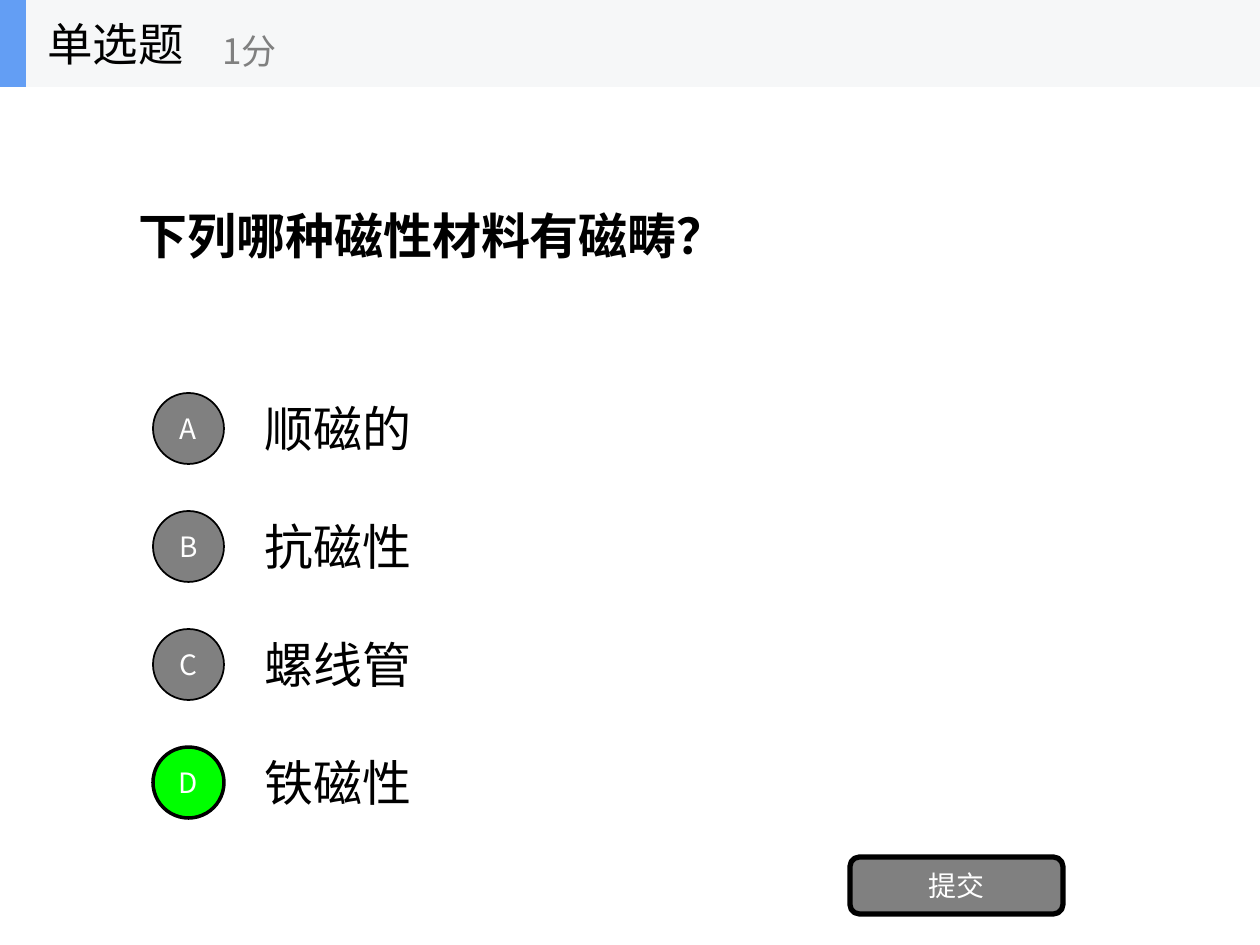
from lxml import etree
from pptx import Presentation
from pptx.dml.color import RGBColor
from pptx.enum.shapes import MSO_SHAPE
from pptx.enum.text import MSO_ANCHOR, MSO_AUTO_SIZE, PP_ALIGN
from pptx.oxml.ns import qn
from pptx.util import Emu, Pt

RECTANGLE = MSO_SHAPE.RECTANGLE
ROUNDED = MSO_SHAPE.ROUNDED_RECTANGLE
OVAL = MSO_SHAPE.OVAL
LEFT, CENTER = PP_ALIGN.LEFT, PP_ALIGN.CENTER
MIDDLE = MSO_ANCHOR.MIDDLE
NO_AUTOFIT = MSO_AUTO_SIZE.NONE

PX_PER_INCH = 126
TITLE_ONLY = 5
LATIN_FONT, CHINESE_FONT = "Calibri", "Noto Sans CJK SC"
COLORS = {
    "black": "000000",
    "white": "FFFFFF",
    "gray": "808080",
    "green": "00FF00",
    "header": "F6F7F8",
    "accent": "639EF4",
}
OPTIONS = [("A", "顺磁的"), ("B", "抗磁性"), ("C", "螺线管"), ("D", "铁磁性")]
CORRECT = "D"
OPTION_TOP, OPTION_STEP = 384, 118


def px(value):
    return Emu(round(value * 914400 / PX_PER_INCH))


def color(name):
    return RGBColor.from_string(COLORS[name])


class QuizSlide:
    def __init__(self, presentation):
        self.slide = presentation.slides.add_slide(presentation.slide_layouts[TITLE_ONLY])
        self.shapes = self.slide.shapes

    def set_text(self, shape, text, size, font_name=CHINESE_FONT, font_color="black",
                 bold=False, align=LEFT):
        frame = shape.text_frame
        frame.word_wrap = True
        frame.auto_size = NO_AUTOFIT
        frame.vertical_anchor = MIDDLE
        paragraph = frame.paragraphs[0]
        paragraph.alignment = align
        run = paragraph.add_run()
        run.text = text
        run.font.name = font_name
        run.font.size = Pt(size)
        run.font.bold = bold
        run.font.color.rgb = color(font_color)
        east_asian = etree.Element(qn("a:ea"), typeface=CHINESE_FONT)
        run.font._element.find(qn("a:latin")).addnext(east_asian)

    def title(self, box, text, size):
        title = self.slide.shapes.title
        title.left, title.top, title.width, title.height = map(px, box)
        self.set_text(title, text, size, LATIN_FONT, bold=True)

    def text(self, box, text, size, **style):
        self.set_text(self.shapes.add_textbox(*map(px, box)), text, size, **style)

    def shape(self, kind, box, fill, line_width=0):
        shape = self.shapes.add_shape(kind, *map(px, box))
        shape.shadow.inherit = False
        shape.fill.solid()
        shape.fill.fore_color.rgb = color(fill)
        if line_width:
            shape.line.color.rgb = color("black")
            shape.line.width = Pt(line_width)
        else:
            shape.line.fill.background()
        return shape

    def button(self, kind, box, label, fill, line_width):
        shape = self.shape(kind, box, fill, line_width)
        frame = shape.text_frame
        frame.margin_left = frame.margin_right = 0
        frame.margin_top = frame.margin_bottom = 0
        self.set_text(shape, label, 16, font_color="white", align=CENTER)

    def header(self, kind, points):
        """Draw the grouped band with the question type and its points."""
        self.shapes = self.slide.shapes.add_group_shape().shapes
        self.shape(RECTANGLE, (0, 0, 1260, 87), "header")
        self.shape(RECTANGLE, (0, 0, 26, 87), "accent")
        self.text((35, 0, 262, 87), kind, 26)
        self.text((210, 15, 315, 71), points, 20, font_color="gray")
        self.shapes = self.slide.shapes


def main():
    presentation = Presentation()
    presentation.slide_width, presentation.slide_height = px(1260), px(945)
    quiz = QuizSlide(presentation)

    quiz.title((126, 87, 1008, 295), "下列哪种磁性材料有磁畴？", 28)
    for index, (letter, answer) in enumerate(OPTIONS):
        top = OPTION_TOP + index * OPTION_STEP
        fill, line_width = ("green", 2) if letter == CORRECT else ("gray", 1)
        quiz.text((252, top, 882, 88), answer, 28, font_name=LATIN_FONT)
        quiz.button(OVAL, (153, top + 9, 71, 71), letter, fill, line_width)
    quiz.button(ROUNDED, (850, 857, 213, 57), "提交", "gray", 3)
    quiz.header("单选题", "1分")

    presentation.save("out.pptx")


if __name__ == "__main__":
    main()
